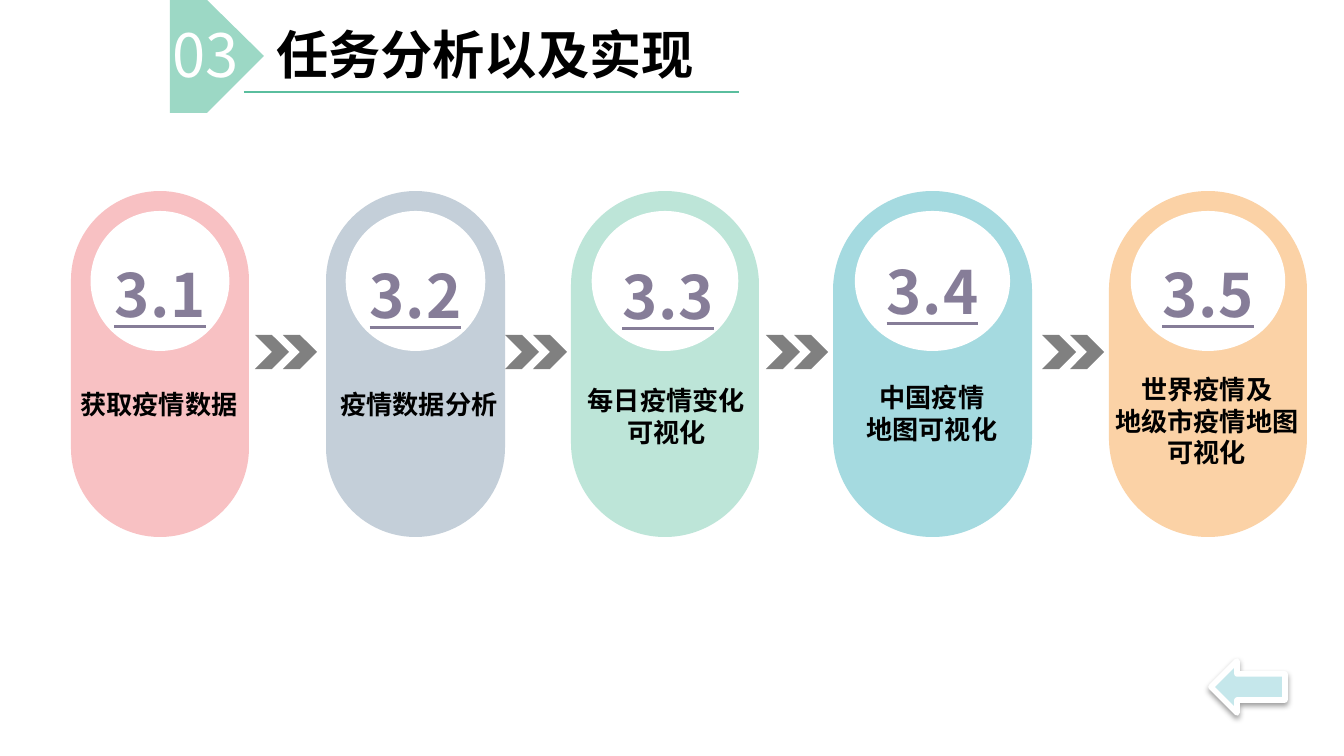
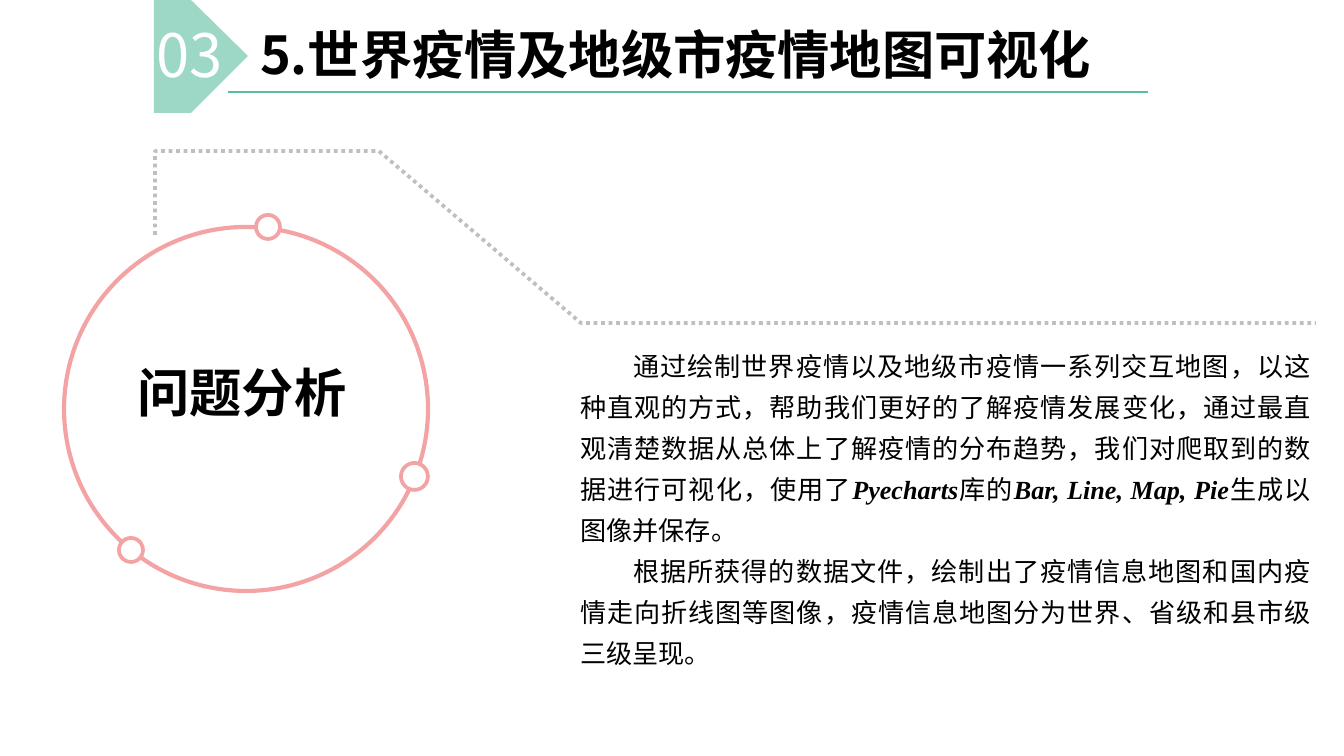
from lxml.etree import SubElement
from pptx import Presentation
from pptx.dml.color import RGBColor
from pptx.enum.dml import MSO_LINE
from pptx.enum.shapes import MSO_CONNECTOR, MSO_SHAPE as SHAPE
from pptx.enum.text import MSO_AUTO_SIZE as AUTO_SIZE, PP_ALIGN as ALIGN
from pptx.oxml.ns import qn
from pptx.util import Pt

PX = 914400 / 134.4
SLIDE_W, SLIDE_H = 1344, 756
FONT = "Noto Sans CJK SC"
TERM_FONT = "Times New Roman"
COLORS = {
    "white": "FFFFFF", "black": "000000", "number": "867D98",
    "tag": "9CD8C5", "rule": "5ABE9E", "chevron": "808080",
    "pink": "F8C1C3", "slate": "C4CFD9", "mint": "BDE5D8",
    "aqua": "A5DAE0", "apricot": "FBD2A6", "back": "C5E7EB",
    "ring": "F4A3A4", "dots": "BFBFBF",
}

# Stages: left, width, colour, number, number box (shift, top), caption box, lines
STAGES = [
    (71, 178, "pink", "3.1", (0, 222), (58, 382, 202), ["获取疫情数据"]),
    (326, 179, "slate", "3.2", (0, 223), (325, 382, 188), ["疫情数据分析"]),
    (571, 188, "mint", "3.3", (3, 224), (543, 378, 247),
     ["每日疫情变化", "可视化"]),
    (833, 199, "aqua", "3.4", (0, 219), (822, 375, 220),
     ["中国疫情", "地图可视化"]),
    (1109, 198, "apricot", "3.5", (0, 222), (1097, 367, 220),
     ["世界疫情及", "地级市疫情地图", "可视化"]),
]
CHEVRON_LEFTS = [255, 505, 766, 1042]

# Analysis paragraphs: (text, is a technical term)
ANALYSIS = [
    [("通过绘制世界疫情以及地级市疫情一系列交互地图，以这种直观的方式，"
      "帮助我们更好的了解疫情发展变化，通过最直观清楚数据从总体上了解疫情的分布趋势，"
      "我们对爬取到的数据进行可视化，使用了", False),
     ("Pyecharts", True), ("库的", False),
     ("Bar, Line, Map, Pie", True), ("生成以图像并保存。", False)],
    [("根据所获得的数据文件，绘制出了疫情信息地图和国内疫情走向折线图等图像，"
      "疫情信息地图分为世界、省级和县市级三级呈现。", False)],
]


def px(length):
    return round(length * PX)


def rgb(color):
    return RGBColor.from_string(COLORS[color])


def paint(shape, fill=None, line=None, weight=1):
    shape.shadow.inherit = False
    if fill:
        shape.fill.solid()
        shape.fill.fore_color.rgb = rgb(fill)
    else:
        shape.fill.background()
    if line:
        shape.line.color.rgb = rgb(line)
        shape.line.width = Pt(weight)
    else:
        shape.line.fill.background()
    return shape


def add_preset(slide, preset, box, fill=None, line=None, weight=1):
    shape = slide.shapes.add_shape(preset, *map(px, box))
    return paint(shape, fill, line, weight)


def add_outline(slide, points, closed, **style):
    builder = slide.shapes.build_freeform(*points[0], scale=PX)
    builder.add_line_segments(points[1:], close=closed)
    return paint(builder.convert_to_shape(), **style)


def style_run(run, size, color="black", bold=False, font=FONT):
    run.font.size = Pt(size)
    run.font.bold = bold
    run.font.color.rgb = rgb(color)
    run.font.name = font
    SubElement(run.font._element, qn("a:ea")).set("typeface", font)


def add_frame(slide, box, wrap=True):
    frame = slide.shapes.add_textbox(*map(px, box)).text_frame
    frame.word_wrap = wrap
    frame.auto_size = AUTO_SIZE.SHAPE_TO_FIT_TEXT
    return frame


def add_text(slide, box, text, size, align=ALIGN.LEFT, wrap=True, **style):
    frame = add_frame(slide, box, wrap)
    frame.text = text
    for paragraph in frame.paragraphs:
        paragraph.alignment = align
        for run in paragraph.runs:
            style_run(run, size, **style)
    return frame


def add_header(slide, left, title, title_width):
    # Section tag
    tag = [(0, 0), (37, 0), (94, 56), (37, 113), (0, 113)]
    add_outline(slide, [(left + x, y) for x, y in tag], True, fill="tag")
    add_text(slide, (left - 11, 11, 98, 86), "03", 32, wrap=False, color="white")
    # Title and its rule
    title_left = left + 93
    add_text(slide, (title_left, 16, title_width, 77), title, 28, bold=True)
    rule = slide.shapes.add_connector(
        MSO_CONNECTOR.STRAIGHT, px(left + 74), px(92),
        px(title_left + title_width - 20), px(92))
    rule.line.color.rgb = rgb("rule")
    rule.line.width = Pt(0.75)
    SubElement(rule._element.spPr, qn("a:effectLst"))


def add_stage(slide, left, width, color, number, number_place, caption_box, lines):
    def centered(share):
        return left + width * (1 - share) / 2, width * share

    capsule = add_preset(slide, SHAPE.ROUNDED_RECTANGLE,
                         (left, 191, width, 346), color)
    capsule.adjustments[0] = 0.5
    disc_left, disc_width = centered(0.78)
    add_preset(slide, SHAPE.OVAL, (disc_left, 211, disc_width, 140), "white")

    number_left, number_width = centered(0.86)
    shift, number_top = number_place
    frame = add_text(slide, (number_left + shift, number_top, number_width, 96),
                     number, 32, ALIGN.CENTER, color="number", bold=True)
    frame.margin_left = frame.margin_right = 0
    frame.margin_top = frame.margin_bottom = 0
    paragraph = frame.paragraphs[0]
    paragraph.line_spacing = 1.5
    font = paragraph.runs[0].font
    font.underline = True
    font._element.set("spc", "50")

    add_text(slide, (*caption_box, 15 + 31 * len(lines)), "\n".join(lines),
             14, ALIGN.CENTER, bold=True)


def add_double_chevron(slide, left):
    for offset in (0, 28):
        add_preset(slide, SHAPE.CHEVRON, (left + offset, 335, 34, 34), "chevron")


def add_back_arrow(slide):
    arrow = add_preset(slide, SHAPE.LEFT_ARROW, (1211, 661, 74, 52),
                       "back", "white", 3)
    effects = arrow._element.spPr.find(qn("a:effectLst"))
    shadow = SubElement(effects, qn("a:outerShdw"), blurRad=str(Pt(3.1)),
                        dist=str(Pt(1.6)), dir="5400000", rotWithShape="0")
    tint = SubElement(shadow, qn("a:srgbClr"), val=COLORS["black"])
    SubElement(tint, qn("a:alpha"), val="38000")


def add_analysis(slide, box):
    frame = add_frame(slide, box)
    for index, pieces in enumerate(ANALYSIS):
        paragraph = frame.add_paragraph() if index else frame.paragraphs[0]
        paragraph.alignment = ALIGN.JUSTIFY
        paragraph.line_spacing = Pt(22)
        properties = paragraph._p.get_or_add_pPr()
        properties.set("marL", "0")
        properties.set("indent", str(px(53)))
        for text, is_term in pieces:
            run = paragraph.add_run()
            run.text = text
            style_run(run, 14, bold=is_term, font=TERM_FONT if is_term else FONT)
            run.font.italic = is_term


def build_stages_slide(slide):
    for stage in STAGES:
        add_stage(slide, *stage)
    for left in CHEVRON_LEFTS:
        add_double_chevron(slide, left)
    add_header(slide, 170, "任务分析以及实现", 496)
    add_back_arrow(slide)


def build_analysis_slide(slide):
    # Ring with three beads
    add_preset(slide, SHAPE.OVAL, (64, 227, 364, 364), line="ring", weight=2.25)
    for left, top, size in [(401, 463, 27), (256, 215, 24), (119, 538, 24)]:
        add_preset(slide, SHAPE.OVAL, (left, top, size, size), "white", "ring", 2)
    # Dotted lead to the explanation
    lead = add_outline(
        slide, [(155, 235), (155, 151), (379, 151), (581, 323), (1316, 323)],
        False, line="dots", weight=2)
    lead.line.dash_style = MSO_LINE.ROUND_DOT
    add_analysis(slide, (567, 334, 757, 345))
    add_text(slide, (43, 354, 398, 77), "问题分析", 28, ALIGN.CENTER, bold=True)
    add_header(slide, 154, "5.世界疫情及地级市疫情地图可视化", 921)


def main():
    deck = Presentation()
    deck.slide_width, deck.slide_height = px(SLIDE_W), px(SLIDE_H)
    blank = deck.slide_layouts[6]
    for build in (build_stages_slide, build_analysis_slide):
        build(deck.slides.add_slide(blank))
    deck.save("out.pptx")


if __name__ == "__main__":
    main()
